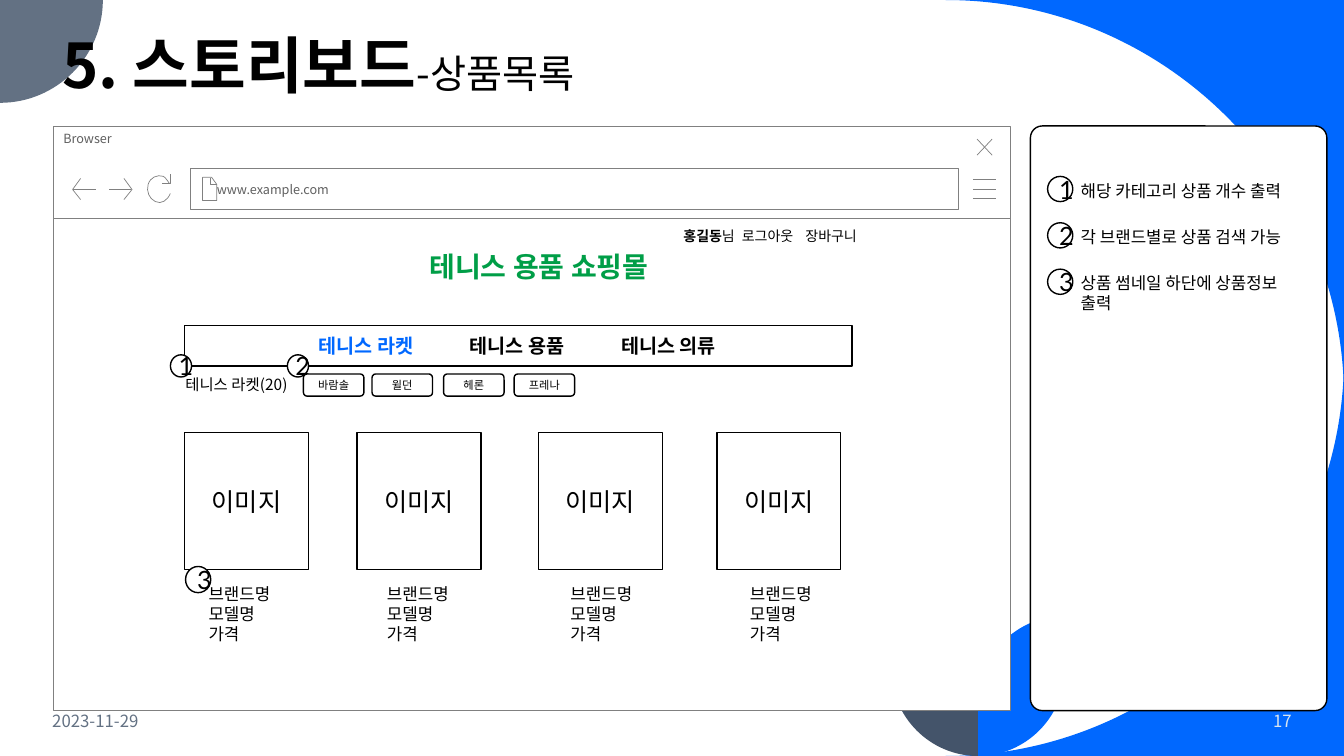
"""Build the product list storyboard slide."""
from dataclasses import dataclass

from lxml import etree
from pptx import Presentation
from pptx import util as u
from pptx.dml.color import RGBColor
from pptx.enum import shapes as kinds, text as t
from pptx.oxml.ns import qn


@dataclass(frozen=True)
class Theme:
    """Colours, fonts and type sizes."""
    black: str = "000000"
    white: str = "FFFFFF"
    blue: str = "0068FF"
    slate: str = "637183"
    navy: str = "44546A"
    pale: str = "DAE5EF"
    green: str = "009E47"
    outline: str = "808080"
    chrome: str = "5F5F5F"
    font: str = "Noto Sans CJK KR"
    number_font: str = "Lato"
    image_font: str = "Arial"
    title: int = 44
    subtitle: int = 28
    brand: int = 20
    large: int = 18
    menu: int = 14
    normal: int = 12
    count: int = 11
    account: int = 10
    browser: int = 9
    tag: int = 8


THEME = Theme()
WIDTH, HEIGHT = 13.33, 7.5

HEADING = [("5. 스토리보드", {"bold": True}),
           ("-상품목록", {"size": THEME.subtitle})]
DATE, PAGE = "2023-11-29", "17"
SHOP = "테니스 용품 쇼핑몰"
ACCOUNT = [("홍길동", {"bold": True}), ("님\t로그아웃\t장바구니", {})]
MENU = [("테니스 라켓", {"color": THEME.blue}), ("\t테니스 용품\t테니스 의류", {})]
COUNT = "테니스 라켓(20)"
TAGS = [("바람솔", 3.01), ("윌던", 3.69), ("헤론", 4.4), ("프레나", 5.1)]
CARD_LEFTS = (1.83, 3.54, 5.34, 7.11)
INFO_LEFTS = (1.97, 3.74, 5.56, 7.34)
IMAGE = "이미지"
INFO = ["브랜드명", "모델명", "가격"]
NOTES = ["해당 카테고리 상품 개수 출력", "각 브랜드별로 상품 검색 가능",
         "상품 썸네일 하단에 상품정보 출력"]
NOTE_TOP, NOTE_STEP = 1.74, 0.46
CALLOUTS = [(1.69, 3.52, 0.21, 0.22), (2.85, 3.52, 0.21, 0.22), (1.84, 5.62, 0.25, 0.26)]


def quarter(start, corner, end):
    """Return the three Bezier points of a quarter circle rounding a corner."""
    first, second = [tuple(p + 0.55 * (c - p) for p, c in zip(point, corner))
                     for point in (start, end)]
    return first, second, end


def leaf(tip):
    """Return a leaf that reaches from the stem to the tip."""
    return [(tip, 6.11), (tip, 6.64), quarter((tip, 6.64), (tip, 7.5), (9.7, 7.5)),
            (9.7, 6.97), quarter((9.7, 6.97), (9.7, 6.11), (tip, 6.11))]


def wedge(corner, start, end):
    """Return a slide corner cut off by a quarter circle."""
    return [corner, start, quarter(start, corner, end)]


BACKDROP = [
    (wedge((WIDTH, 0), (9.38, 0), (WIDTH, 3.95)), THEME.blue),
    (wedge((WIDTH, HEIGHT), (9.38, HEIGHT), (WIDTH, 3.55)), THEME.blue),
    ([(0, 0), (1.02, 0), quarter((1.02, 0), (1.02, 1.02), (0, 1.02))], THEME.slate),
    (leaf(10.56), THEME.blue),
    (leaf(8.84), THEME.navy),
]
ICONS = [
    [[(9.65, y), (9.88, y)] for y in (1.97, 1.88, 1.78)],
    [[(9.84, 1.38), (9.69, 1.54)], [(9.69, 1.38), (9.84, 1.54)]],
    [[(2.09, 1.77), (2.09, 1.83), (2.15, 1.83)],
     [(2.01, 1.76), (2.01, 1.99), (2.15, 1.99), (2.15, 1.83), (2.1, 1.76), (2.01, 1.76)]],
    [[(0.8, 1.98), (0.72, 1.88), (0.8, 1.77)], [(0.72, 1.88), (0.95, 1.88)]],
    [[(1.23, 1.77), (1.31, 1.88), (1.23, 1.98)], [(1.3, 1.88), (1.08, 1.88)]],
    [[(1.69, 1.73), (1.69, 1.82), (1.61, 1.82)],
     [(1.69, 1.92), ((1.66, 1.99), (1.6, 2.03), (1.54, 2)),
      ((1.48, 1.97), (1.45, 1.9), (1.47, 1.83)),
      ((1.49, 1.76), (1.56, 1.73), (1.62, 1.75)),
      ((1.64, 1.76), (1.66, 1.79), (1.68, 1.82))]],
]


def write(shape, lines, size=THEME.normal, color=THEME.black, font=THEME.font,
          bold=False, align="LEFT", anchor="TOP", left=0.1, tabs=(), spacing=None):
    """Write lines, each a string or a list of (text, overrides) runs."""
    frame = shape.text_frame
    frame.word_wrap = True
    frame.auto_size = t.MSO_AUTO_SIZE.NONE
    frame.vertical_anchor = t.MSO_ANCHOR[anchor]
    frame.margin_left = u.Inches(left)
    for index, line in enumerate(lines):
        paragraph = frame.add_paragraph() if index else frame.paragraphs[0]
        paragraph.alignment = t.PP_ALIGN[align]
        if spacing:
            paragraph.line_spacing = spacing
        if tabs:
            stops = etree.SubElement(paragraph._p.get_or_add_pPr(), qn("a:tabLst"))
            for stop in tabs:
                etree.SubElement(stops, qn("a:tab"), pos=str(u.Inches(stop)), algn="l")
        for words, changes in [(line, {})] if isinstance(line, str) else line:
            run = paragraph.add_run()
            run.text = words
            run.font.name = font
            run.font.size = u.Pt(changes.get("size", size))
            run.font.bold = changes.get("bold", bold)
            run.font.color.rgb = RGBColor.from_string(changes.get("color", color))
            etree.SubElement(run._r.get_or_add_rPr(), qn("a:ea"), typeface=THEME.font)


def paint(shape, fill=None, line=None, weight=1):
    """Set the fill and outline of a shape."""
    shape.shadow.inherit = False
    if fill:
        shape.fill.solid()
        shape.fill.fore_color.rgb = RGBColor.from_string(fill)
    else:
        shape.fill.background()
    if line:
        shape.line.color.rgb = RGBColor.from_string(line)
        shape.line.width = u.Pt(weight)
    else:
        shape.line.fill.background()


def outline(slide, strokes, close=False, **look):
    """Draw a freeform from strokes of points and three-point curves."""
    builder = slide.shapes.build_freeform(*map(u.Inches, strokes[0][0]), scale=1.0)
    steps = []
    for index, (start, *items) in enumerate(strokes):
        if index:
            builder.move_to(*map(u.Inches, start))
        groups = [item if len(item) == 3 else (item,) for item in items]
        builder.add_line_segments(
            [tuple(map(u.Inches, point)) for group in groups for point in group], close=close)
        steps += map(len, groups)
    shape = builder.convert_to_shape()
    segments = iter(list(shape.element.iter(qn("a:lnTo"))))
    for count in steps:
        segment = next(segments)
        if count == 3:
            segment.tag = qn("a:cubicBezTo")
            for extra in (next(segments), next(segments)):
                segment.append(extra[0])
                extra.getparent().remove(extra)
    paint(shape, **look)


def box(slide, place, kind="RECTANGLE", line=THEME.black, weight=1):
    """Add a white outlined preset shape."""
    shape = slide.shapes.add_shape(kinds.MSO_SHAPE[kind], *map(u.Inches, place))
    paint(shape, THEME.white, line, weight)
    return shape


def label(slide, place, lines, **format):
    """Add a text box."""
    write(slide.shapes.add_textbox(*map(u.Inches, place)), lines, **format)


def marker(slide, place, number):
    """Add a numbered circle."""
    write(box(slide, place, "OVAL"), [str(number)], size=THEME.large,
          font=THEME.number_font, align="CENTER", anchor="MIDDLE")


def draw_browser(slide):
    """Draw the browser window and its toolbar."""
    frame = {"line": THEME.outline, "weight": 0.5}
    box(slide, (0.53, 2.17, 9.49, 4.88), **frame)
    bar = box(slide, (0.53, 1.25, 9.49, 0.92), **frame)
    write(bar, ["Browser"], size=THEME.browser, color=THEME.chrome)
    address = box(slide, (1.89, 1.67, 7.62, 0.41), **frame)
    write(address, ["www.example.com"], size=THEME.browser, color=THEME.chrome,
          anchor="MIDDLE", left=0.26)
    for icon in ICONS:
        outline(slide, icon, line=THEME.outline, weight=0.5)


def draw_shop(slide):
    """Draw the product list page."""
    label(slide, (4.16, 2.43, 2.42, 0.44), [SHOP], size=THEME.brand,
          color=THEME.green, bold=True)
    label(slide, (6.68, 2.21, 2.42, 0.27), [ACCOUNT], size=THEME.account, tabs=(0.58, 1.21))
    menu = box(slide, (1.83, 3.23, 6.62, 0.4))
    write(menu, [MENU], size=THEME.menu, bold=True, anchor="MIDDLE", left=1.33, tabs=(1.5, 3))
    for left in CARD_LEFTS:
        write(box(slide, (left, 4.29, 1.23, 1.36)), [IMAGE], size=THEME.large,
              font=THEME.image_font, align="CENTER", anchor="MIDDLE")
    for number, place in enumerate(CALLOUTS, 1):
        marker(slide, place, number)
    label(slide, (1.74, 3.67, 1.23, 0.29), [COUNT], size=THEME.count)
    for name, left in TAGS:
        write(box(slide, (left, 3.71, 0.6, 0.22), "ROUNDED_RECTANGLE"), [name],
              size=THEME.tag, align="CENTER", anchor="MIDDLE")
    for left in INFO_LEFTS:
        label(slide, (left, 5.74, 0.96, 0.71), INFO)


def main():
    """Assemble and save the slide."""
    deck = Presentation()
    deck.slide_width, deck.slide_height = u.Inches(WIDTH), u.Inches(HEIGHT)
    slide = deck.slides.add_slide(deck.slide_layouts[5])
    for points, fill in BACKDROP:
        outline(slide, [points], close=True, fill=fill)
    panel = box(slide, (10.22, 1.25, 2.94, 5.8), "ROUNDED_RECTANGLE")
    panel.adjustments[0] = 0.04
    label(slide, (0.42, 6.95, 3, 0.4), [DATE], color=THEME.slate, anchor="MIDDLE")
    label(slide, (11.1, 6.95, 1.81, 0.4), [PAGE], color=THEME.pale, align="RIGHT",
          anchor="MIDDLE")
    draw_browser(slide)
    heading = slide.shapes.title
    heading.left, heading.top, heading.width, heading.height = map(
        u.Inches, (0.52, 0.3, 10.24, 1.05))
    write(heading, [HEADING], size=THEME.title, spacing=0.9)
    heading.element.getparent().append(heading.element)
    draw_shop(slide)
    for index, note in enumerate(NOTES):
        top = NOTE_TOP + index * NOTE_STEP
        marker(slide, (10.39, top + 0.01, 0.25, 0.25), index + 1)
        label(slide, (10.62, top, 2.45, 0.3), [note])
    deck.save("out.pptx")


if __name__ == "__main__":
    main()
